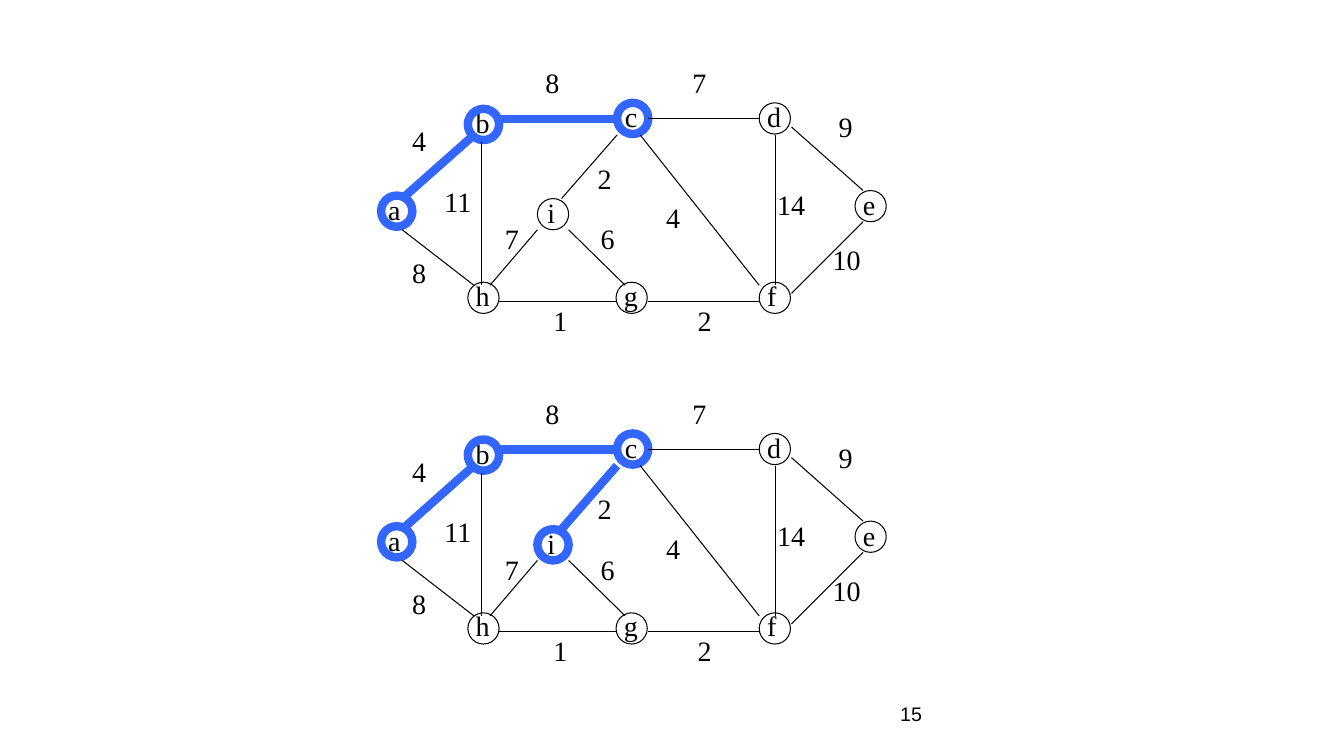
import pptx
import pptx.dml.color
import pptx.enum.shapes
import pptx.enum.text
import pptx.oxml
import pptx.util

Inches = pptx.util.Inches
COLORS = {"ink": "000000", "tree": "3366FF", "page": "FFFFFF"}
NODE_SIZE = 0.31

# Node: circle left and top, letter left, top and width
NODES = {
    "a": (3.78, 1.94, 3.75, 1.86, 0.32),
    "b": (4.64, 1.08, 4.62, 1.00, 0.34),
    "h": (4.64, 2.80, 4.62, 2.71, 0.34),
    "c": (6.12, 1.02, 6.10, 0.94, 0.32),
    "d": (7.53, 1.02, 7.51, 0.94, 0.34),
    "e": (8.48, 1.89, 8.46, 1.81, 0.32),
    "f": (7.53, 2.80, 7.51, 2.71, 0.29),
    "g": (6.11, 2.80, 6.09, 2.71, 0.34),
    "i": (5.33, 1.97, 5.33, 1.89, 0.28),
}

# Edge: start, end, weight, weight position
EDGES = {
    "ab": ((3.99, 1.97), (4.70, 1.34), "4", (3.99, 1.18)),
    "ah": ((3.99, 2.28), (4.70, 2.83), "8", (3.99, 2.49)),
    "bh": ((4.78, 1.41), (4.78, 2.83), "11", (4.31, 1.78)),
    "bc": ((4.94, 1.18), (6.12, 1.18), "8", (5.31, 0.60)),
    "hg": ((4.94, 2.99), (6.12, 2.99), "1", (5.39, 2.96)),
    "gf": ((6.43, 2.99), (7.53, 2.99), "2", (6.82, 2.96)),
    "cf": ((6.35, 1.34), (7.53, 2.83), "4", (6.51, 1.94)),
    "cd": ((6.43, 1.18), (7.53, 1.18), "7", (6.77, 0.60)),
    "df": ((7.69, 1.34), (7.69, 2.83), "14", (7.61, 1.81)),
    "de": ((7.85, 1.26), (8.56, 1.89), "9", (8.22, 1.04)),
    "fe": ((7.85, 2.91), (8.56, 2.20), "10", (8.16, 2.36)),
    "ig": ((5.64, 2.28), (6.20, 2.83), "6", (5.86, 2.15)),
    "hi": ((4.86, 2.83), (5.33, 2.28), "7", (4.91, 2.15)),
    "ic": ((5.57, 1.97), (6.12, 1.34), "2", (5.83, 1.55)),
}

# Each step of the tree: vertical offset, nodes reached, edges chosen
STEPS = [
    (0, "abc", {"ab", "bc"}),
    (3.28, "abci", {"ab", "bc", "ic"}),
]


def rgb(name):
    return pptx.dml.color.RGBColor.from_string(COLORS[name])


class GraphSlide:
    label_format = {"name": "Times New Roman", "size": pptx.util.Pt(20)}
    number_format = {"name": "Arial", "size": pptx.util.Pt(14)}

    def __init__(self, page):
        self.page = page
        page.background.fill.solid()
        page.background.fill.fore_color.rgb = rgb("page")

    def text(self, parent, wording, left, top, width, height, font_format, **frame_format):
        box = parent.shapes.add_textbox(Inches(left), Inches(top), Inches(width), Inches(height))
        for key, value in frame_format.items():
            setattr(box.text_frame, key, value)
        span = box.text_frame.paragraphs[0].add_run()
        span.text = wording
        for key, value in font_format.items():
            setattr(span.font, key, value)
        span.font.color.rgb = rgb("ink")

    def label(self, parent, wording, left, top, width, height):
        self.text(parent, wording, left, top, width, height, self.label_format,
                  word_wrap=False,
                  auto_size=pptx.enum.text.MSO_AUTO_SIZE.SHAPE_TO_FIT_TEXT)

    def outline(self, shape, chosen):
        shape.line.color.rgb = rgb("tree" if chosen else "ink")
        shape.line.width = pptx.util.Pt(6 if chosen else 0.75)

    def node(self, parent, left, top, chosen):
        circle = parent.shapes.add_shape(
            pptx.enum.shapes.MSO_SHAPE.OVAL,
            Inches(left), Inches(top), Inches(NODE_SIZE), Inches(NODE_SIZE))
        circle.shadow.inherit = False
        circle.fill.background()
        self.outline(circle, chosen)

    def edge(self, parent, start, end, chosen):
        line = parent.shapes.add_connector(
            pptx.enum.shapes.MSO_CONNECTOR.STRAIGHT,
            *(Inches(value) for value in start + end))
        self.outline(line, chosen)
        line._element.spPr.append(pptx.oxml.parse_xml(
            '<a:effectLst xmlns:a="http://schemas.openxmlformats.org/drawingml/2006/main"/>'))

    def graph(self, offset, reached, chosen):
        group = self.page.shapes.add_group_shape()
        for letter, (left, top, text_left, text_top, width) in NODES.items():
            self.label(group, letter, text_left, text_top + offset, width, 0.43)
            self.node(group, left, top + offset, letter in reached)
        for name, ((x1, y1), (x2, y2), _, _) in EDGES.items():
            self.edge(group, (x1, y1 + offset), (x2, y2 + offset), name in chosen)
        for _, _, weight, (left, top) in EDGES.values():
            width = 0.34 if len(weight) == 1 else 0.48
            self.label(group, weight, left, top + offset, width, 0.44)


def main():
    deck = pptx.Presentation()
    deck.slide_width, deck.slide_height = Inches(13.33), Inches(7.5)
    slide = GraphSlide(deck.slides.add_slide(deck.slide_layouts[6]))

    # Page number
    slide.text(slide.page, "15", 8.83, 6.83, 2.08, 0.5, slide.number_format,
               word_wrap=True, vertical_anchor=pptx.enum.text.MSO_ANCHOR.MIDDLE)

    # Two steps of the spanning tree
    for offset, reached, chosen in STEPS:
        slide.graph(offset, reached, chosen)

    deck.save("out.pptx")


if __name__ == "__main__":
    main()
